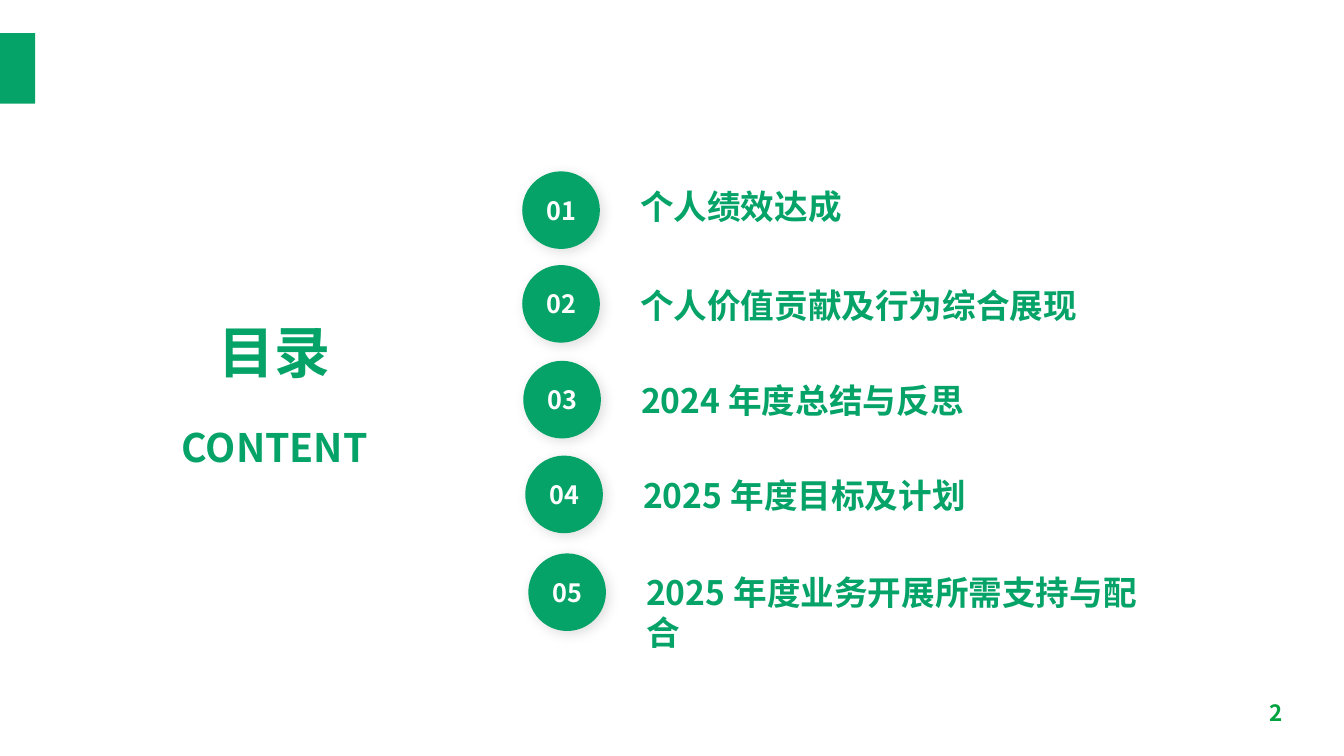
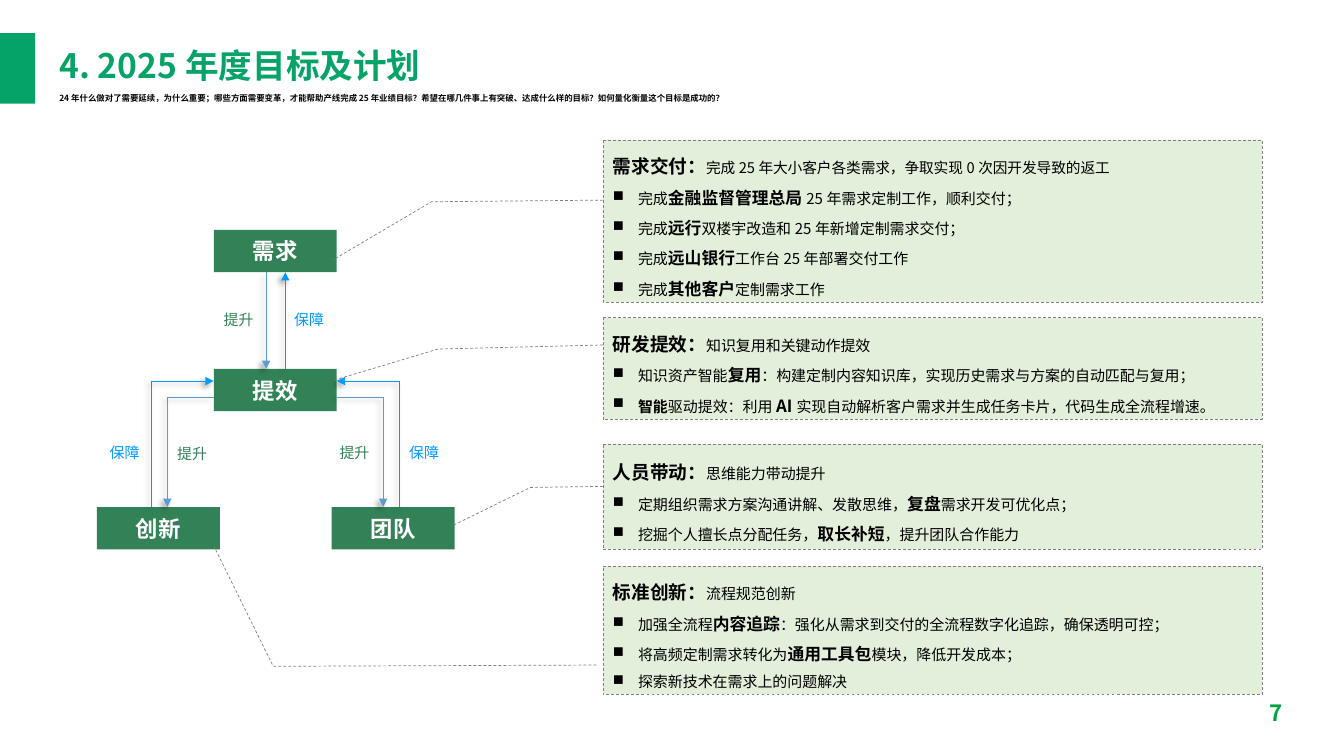
import lxml.etree
import pptx
import pptx.dml.color
import pptx.enum.dml
import pptx.enum.shapes
import pptx.enum.text
import pptx.oxml.ns
import pptx.util

Inches = pptx.util.Inches
Pt = pptx.util.Pt
qn = pptx.oxml.ns.qn
SHAPE = pptx.enum.shapes.MSO_SHAPE
ALIGN = pptx.enum.text.PP_ALIGN
ANCHOR = pptx.enum.text.MSO_ANCHOR
FIT = pptx.enum.text.MSO_AUTO_SIZE

COLORS = {
    "brand": "05A367", "page": "00A340", "node": "338257", "panel": "E2EFDA",
    "edge": "808080", "down": "5B9BD5", "up": "0099FF",
    "white": "FFFFFF", "black": "000000",
}
FONT = "Noto Sans CJK SC"

# Leading mark of a text piece -> size and weight; no mark is plain
MARKS = {"#": (13.3, True), "*": (12, True), "+": (10.7, True), "-": (10.5, False)}
PLAIN = (10.7, False)

# Shadows: alpha %, blur pt, distance pt, angle
SOFT = (12, 9, 3, 45)
DARK = (40, 4, 3, 135)


def rgb(name):
    return pptx.dml.color.RGBColor.from_string(COLORS[name])


def add(parent, tag, **attrs):
    """Append one XML element with the given attributes."""
    return lxml.etree.SubElement(parent, qn(tag), {k: str(v) for k, v in attrs.items()})


class Deck:
    """Holds the style and the current slide."""

    def __init__(self):
        self.prs = pptx.Presentation()
        self.prs.slide_width = Inches(13.33)
        self.prs.slide_height = Inches(7.5)
        self.slide = None

    # Shared frame: title, side band, page number
    def page(self, number, title, box, size, **form):
        self.slide = self.prs.slides.add_slide(self.prs.slide_layouts[5])
        self.shape(SHAPE.RECTANGLE, (0, 0.33, 0.35, 0.7), "brand")
        head = self.slide.shapes.title
        head.left, head.top, head.width, head.height = map(Inches, box)
        self.fill_text(head, title, size, "brand", **form)
        self.text(str(number), (12.49, 6.89, 0.51, 0.37), 16, "page", wrap=False)

    def run(self, para, text, size, color, bold=True, font=FONT):
        run = para.add_run()
        run.text = text
        run.font.color.rgb = rgb(color)
        for key, value in {"size": Pt(size), "bold": bold, "name": font}.items():
            setattr(run.font, key, value)
        add(run.font._element, "a:ea", typeface=FONT)

    def fill_text(self, shape, text, size, color, bold=True, font=FONT, wrap=True,
                  anchor=ANCHOR.TOP, fit=FIT.SHAPE_TO_FIT_TEXT, **form):
        frame = shape.text_frame
        for key, value in {"word_wrap": wrap, "auto_size": fit,
                           "vertical_anchor": anchor}.items():
            setattr(frame, key, value)
        para = frame.paragraphs[0]
        for key, value in {"alignment": ALIGN.LEFT, **form}.items():
            setattr(para, key, value)
        self.run(para, text, size, color, bold, font)

    def text(self, text, box, size, color, **form):
        area = self.slide.shapes.add_textbox(*map(Inches, box))
        self.fill_text(area, text, size, color, **form)

    def shadow(self, shape, look):
        props = shape.element.spPr
        effect = props.find(qn("a:effectLst"))
        if effect is None:
            effect = add(props, "a:effectLst")
        alpha, blur, dist, angle = look
        outer = add(effect, "a:outerShdw", blurRad=Pt(blur), dist=Pt(dist),
                    dir=angle * 60000, algn="tl", rotWithShape=0)
        tint = add(outer, "a:srgbClr", val=COLORS["black"])
        add(tint, "a:alpha", val=alpha * 1000)

    def shape(self, kind, box, fill, label=None, size=16):
        shape = self.slide.shapes.add_shape(kind, *map(Inches, box))
        shape.shadow.inherit = False
        shape.fill.solid()
        shape.fill.fore_color.rgb = rgb(fill)
        shape.line.fill.background()
        if label:
            self.fill_text(shape, label, size, "white", anchor=ANCHOR.MIDDLE,
                           fit=FIT.NONE, alignment=ALIGN.CENTER)
        return shape

    # Straight segments through the points, with an arrowhead at the end
    def route(self, points, color):
        for start, end in zip(points, points[1:]):
            line = self.slide.shapes.add_connector(
                pptx.enum.shapes.MSO_CONNECTOR.STRAIGHT, *map(Inches, start + end))
            line.line.color.rgb = rgb(color)
            line.line.width = Pt(0.5)
            if end == points[-1]:
                add(line.element.spPr.find(qn("a:ln")), "a:tailEnd", type="triangle")
            self.shadow(line, DARK)

    # Dashed panel with a bent leader; the first row is its heading
    def panel(self, top, height, leader, rows):
        box = self.shape(SHAPE.LINE_CALLOUT_2, (5.98, top, 6.54, height), "panel")
        for index, value in enumerate(leader):
            box.adjustments[index] = value
        box.line.color.rgb = rgb("edge")
        box.line.width = Pt(0.5)
        box.line.dash_style = pptx.enum.dml.MSO_LINE.DASH
        frame = box.text_frame
        frame.word_wrap = True
        frame.vertical_anchor = ANCHOR.MIDDLE
        for index, row in enumerate(rows):
            para = frame.add_paragraph() if index else frame.paragraphs[0]
            para.alignment = ALIGN.LEFT
            para.line_spacing = 1.5
            if index:
                props = para._element.get_or_add_pPr()
                props.set("marL", str(Inches(0.25)))
                props.set("indent", str(Inches(-0.25)))
                add(props, "a:buChar", char="■")
            for piece in row.split("|"):
                size, bold = MARKS.get(piece[0], PLAIN)
                self.run(para, piece.lstrip("#*+-"), size, "black", bold)


def agenda(deck):
    deck.page(2, "目录", (1.42, 2.77, 2.6, 1.11), 40,
              alignment=ALIGN.CENTER, line_spacing=1.5)
    deck.text("CONTENT", (1.63, 3.92, 2.19, 0.81), 28, "brand",
              alignment=ALIGN.CENTER, line_spacing=1.5)
    # Left, circle top, text top, wording
    items = [
        (5.18, 1.7, 1.8, "个人绩效达成"),
        (5.18, 2.63, 2.78, "个人价值贡献及行为综合展现"),
        (5.19, 3.58, 3.72, "2024年度总结与反思"),
        (5.21, 4.52, 4.66, "2025年度目标及计划"),
        (5.24, 5.49, 5.62, "2025年度业务开展所需支持与配合"),
    ]
    for number, (left, top, base, label) in enumerate(items, 1):
        deck.text(label, (left + 1.07, base, 5.36, 0.5), 24, "brand")
        dot = deck.shape(SHAPE.OVAL, (left, top, 0.77, 0.77), "brand",
                         f"{number:02}", 18)
        deck.shadow(dot, SOFT)


def goals(deck):
    deck.page(7, "4. 2025年度目标及计划", (0.49, 0.44, 12.37, 0.46), 24,
              anchor=ANCHOR.MIDDLE, line_spacing=0.9, space_before=Pt(10))
    deck.text("24年什么做对了需要延续，为什么重要；哪些方面需要变革，才能帮助产线完成25年业绩目标？"
              "希望在哪几件事上有突破、达成什么样的目标？如何量化衡量这个目标是成功的？",
              (0.49, 0.87, 11.8, 0.2), 6, "black")

    # Nodes
    for left, top, label in [(2.12, 2.28, "需求"), (2.12, 3.66, "提效"),
                             (3.29, 5.03, "团队"), (0.96, 5.03, "创新")]:
        deck.shape(SHAPE.RECTANGLE, (left, top, 1.22, 0.42), "node", label)

    # Arrows: the lower pairs mirror each other about the middle
    mid = 2.73
    for side in (1, -1):
        near, inner, outer = (mid + side * gap for gap in (0.61, 1.07, 1.23))
        deck.route([(near, 3.94), (inner, 3.94), (inner, 5.03)], "down")
        deck.route([(outer, 5.03), (outer, 3.78), (near, 3.78)], "up")
    deck.route([(2.64, 2.7), (2.64, 3.66)], "down")
    deck.route([(2.83, 3.66), (2.83, 2.7)], "up")

    # Arrow labels
    for label, color, spots in [
        ("提升", "node", [(2.12, 3.03), (3.27, 4.35), (1.66, 4.36)]),
        ("保障", "up", [(2.82, 3.03), (3.96, 4.35), (0.99, 4.35)]),
    ]:
        for left, top in spots:
            deck.text(label, (left, top, 0.5, 0.28), 10.7, color,
                      bold=False, font="Arial", wrap=False)

    # Panels: top, height, leader as y and x shares, rows
    panels = [
        (3.15, 1.01, (0.27, 0, 0.31, -0.25, 0.62, -0.41), [
            "#研发提效：|知识复用和关键动作提效",
            "知识资产智能|*复用|：构建定制内容知识库，实现历史需求与方案的自动匹配与复用；",
            "+智能|驱动提效：利用|*AI|实现自动解析客户需求并生成任务卡片，代码生成全流程增速。"]),
        (1.39, 1.61, (0.37, 0, 0.38, -0.26, 0.74, -0.41), [
            "#需求交付：|-完成25年大小客户各类需求，争取实现0次因开发导致的返工",
            "完成|*金融监督管理总局|25年需求定制工作，顺利交付；",
            "完成|*远行|双楼宇改造和25年新增定制需求交付；",
            "完成|*远山银行|工作台25年部署交付工作",
            "完成|*其他客户|定制需求工作"]),
        (5.62, 1.27, (0.77, -0.01, 0.78, -0.5, -0.16, -0.59), [
            "#标准创新：|流程规范创新",
            "加强全流程|*内容追踪|：强化从需求到交付的全流程数字化追踪，确保透明可控；",
            "将高频定制需求转化为|*通用工具包|模块，降低开发成本；",
            "探索新技术在需求上的问题解决"]),
        (4.41, 1.04, (0.4, 0, 0.41, -0.11, 0.78, -0.23), [
            "#人员带动：|思维能力带动提升",
            "定期组织需求方案沟通讲解、发散思维，|*复盘|需求开发可优化点；",
            "挖掘个人擅长点分配任务，|*取长补短|，提升团队合作能力"]),
    ]
    for panel in panels:
        deck.panel(*panel)


def main():
    deck = Deck()
    agenda(deck)
    goals(deck)
    deck.prs.save("out.pptx")


if __name__ == "__main__":
    main()
